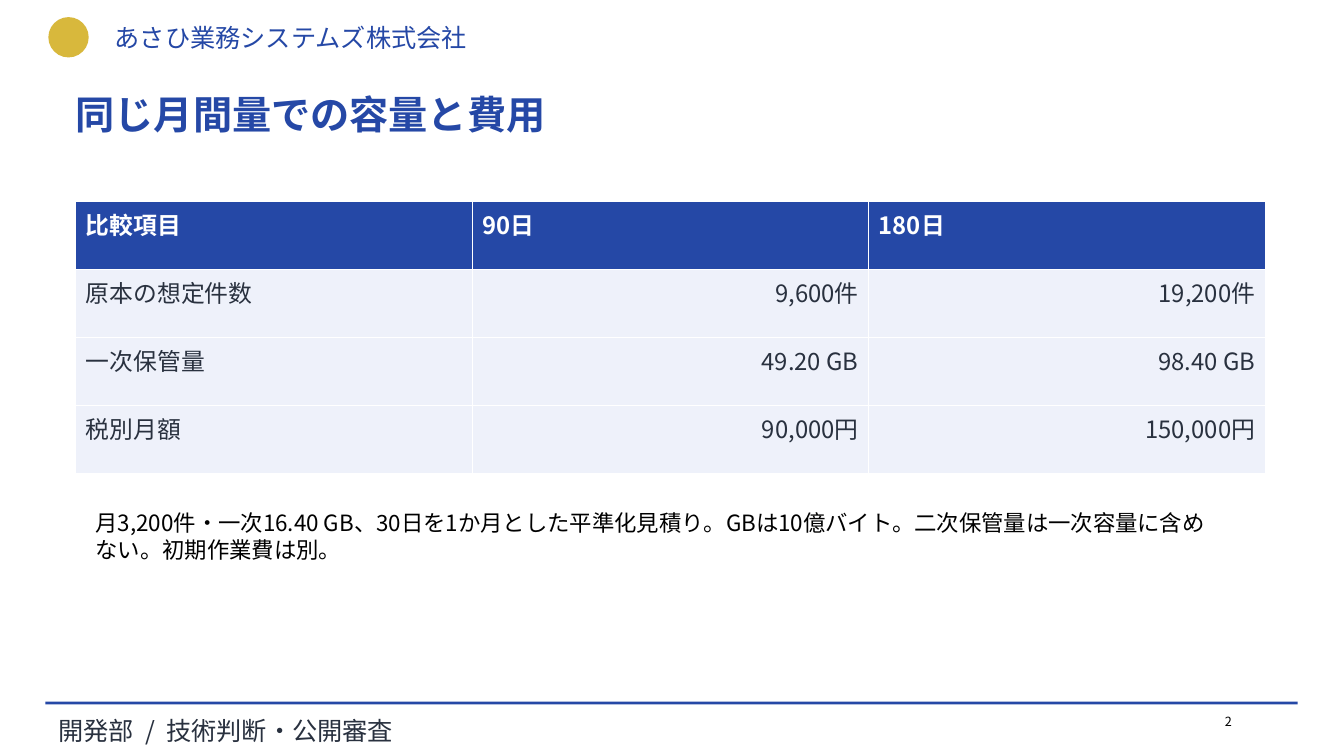
import pptx
import pptx.dml.color
import pptx.enum.shapes
import pptx.enum.text
import pptx.oxml.ns
import pptx.util
from lxml import etree

Inches = pptx.util.Inches
RGBColor = pptx.dml.color.RGBColor
Shape = pptx.enum.shapes.MSO_SHAPE
Align = pptx.enum.text.PP_ALIGN

# Content
COMPANY = "あさひ業務システムズ株式会社"
TITLE = "同じ月間量での容量と費用"
COMPARISON = [
    ("比較項目", "90日", "180日"),
    ("原本の想定件数", "9,600件", "19,200件"),
    ("一次保管量", "49.20 GB", "98.40 GB"),
    ("税別月額", "90,000円", "150,000円"),
]
NOTE = (
    "月3,200件・一次16.40 GB、30日を1か月とした平準化見積り。"
    "GBは10億バイト。二次保管量は一次容量に含めない。初期作業費は別。"
)
FOOTER = "開発部  /  技術判断・公開審査"
PAGE_NUMBER = "2"

# Style
FONT = "Noto Sans CJK JP"
BLUE = RGBColor(0x25, 0x48, 0xA6)
GOLD = RGBColor(0xD8, 0xB8, 0x3C)
INK = RGBColor(0x29, 0x31, 0x3F)
PALE = RGBColor(0xEE, 0xF1, 0xFA)
WHITE = RGBColor(0xFF, 0xFF, 0xFF)
BLACK = RGBColor(0, 0, 0)


def write_text(frame, text, size, color, bold=False, align=Align.LEFT):
    para = frame.paragraphs[0]
    para.alignment = align
    span = para.add_run()
    span.text = text
    span.font.size = pptx.util.Pt(size)
    span.font.bold = bold
    span.font.color.rgb = color
    span.font.name = FONT
    # East Asian glyphs need their own typeface entry
    properties = span._r.get_or_add_rPr()
    etree.SubElement(properties, pptx.oxml.ns.qn("a:ea"), typeface=FONT)


def add_text(page, text, left, top, width, height, **style):
    box = page.shapes.add_textbox(*map(Inches, (left, top, width, height)))
    box.text_frame.word_wrap = True
    write_text(box.text_frame, text, **style)


def add_solid(page, kind, left, top, width, height, color):
    solid = page.shapes.add_shape(kind, *map(Inches, (left, top, width, height)))
    solid.shadow.inherit = False
    solid.fill.solid()
    solid.fill.fore_color.rgb = color
    solid.line.fill.background()


def add_comparison(page, left, top, width, height):
    row_count, column_count = len(COMPARISON), len(COMPARISON[0])
    table = page.shapes.add_table(
        row_count, column_count, *map(Inches, (left, top, width, height))
    ).table
    for row, values in enumerate(COMPARISON):
        for column, value in enumerate(values):
            header = row == 0
            numeric = not header and column > 0
            cell = table.cell(row, column)
            cell.fill.solid()
            cell.fill.fore_color.rgb = BLUE if header else PALE
            write_text(
                cell.text_frame, value, size=17, bold=header,
                color=WHITE if header else INK,
                align=Align.RIGHT if numeric else Align.LEFT,
            )


def main():
    deck = pptx.Presentation()
    deck.slide_width, deck.slide_height = Inches(13.33), Inches(7.5)
    page = deck.slides.add_slide(deck.slide_layouts[5])

    # Header with a plain marker
    add_solid(page, Shape.OVAL, 0.48, 0.17, 0.4, 0.4, GOLD)
    add_text(page, COMPANY, 1.04, 0.17, 7, 0.34, size=18, color=BLUE)

    # Title
    title = page.shapes.title
    title.left, title.top = Inches(0.65), Inches(0.85)
    title.width, title.height = Inches(12), Inches(1)
    title.text_frame.auto_size = pptx.enum.text.MSO_AUTO_SIZE.NONE
    title.text_frame.vertical_anchor = pptx.enum.text.MSO_ANCHOR.TOP
    write_text(title.text_frame, TITLE, size=28, color=BLUE, bold=True)

    # Comparison table and its note
    add_comparison(page, 0.75, 2, 11.8, 2.7)
    add_text(page, NOTE, 0.85, 5, 11.4, 1.2, size=16, color=BLACK)

    # Footer
    add_solid(page, Shape.RECTANGLE, 0.45, 6.96, 12.42, 0.03, BLUE)
    add_text(page, FOOTER, 0.48, 7.05, 10, 0.26, size=18, color=INK)
    add_text(page, PAGE_NUMBER, 12.05, 7.03, 0.6, 0.3, size=9, color=BLACK)

    deck.save("out.pptx")


if __name__ == "__main__":
    main()
